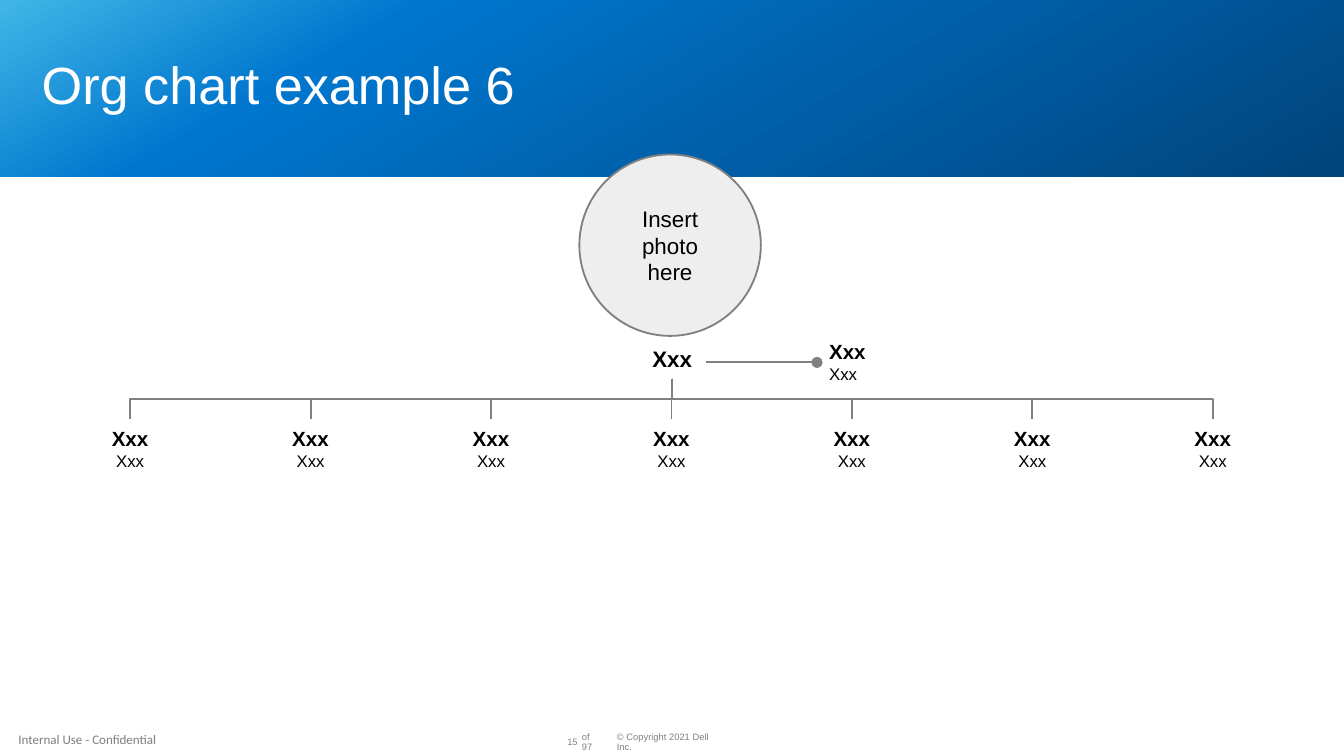
from copy import deepcopy
from dataclasses import dataclass

from pptx import Presentation
from pptx.dml.color import RGBColor
from pptx.enum.shapes import MSO_CONNECTOR, MSO_SHAPE
from pptx.enum.text import MSO_ANCHOR, PP_ALIGN
from pptx.oxml.ns import qn
from pptx.shapes.autoshape import Shape
from pptx.shapes.connector import Connector
from pptx.slide import Slide
from pptx.util import Cm, Pt
from lxml.etree import SubElement

GREY = "808080"
BLACK = "000000"
HEADER_STOPS = [(0, "41B6E6"), (0.26, "0076CE"), (1, "00447C")]

MEMBER_COUNT = 7
FIRST_MEMBER_CENTER = 2.46
MEMBER_PITCH = 3.41
MEMBER_WIDTH = 3.35
MEMBER_TOP = 7.92
TRUNK_X = 12.7
TRUNK_TOP = 7.16


@dataclass
class Span:
    text: str
    size: float
    color: str = BLACK
    bold: bool = False
    font: str = "Arial"


@dataclass
class Label:
    left: float
    top: float
    width: float
    height: float
    spans: list[Span]
    align: PP_ALIGN = PP_ALIGN.LEFT
    anchor: MSO_ANCHOR = MSO_ANCHOR.MIDDLE
    insets: tuple[float, float, float, float] = (0, 0, 0, 0)
    wrap: bool = True
    spacing: float = 1.0


PERSON = [Span("Xxx", 11, bold=True), Span("Xxx", 9)]

FOOTERS = [
    Label(11.66, 13.94, 2.06, 0.2, [Span("© Copyright 2021 Dell Inc.", 5, GREY)], spacing=0.9),
    Label(10.72, 13.94, 0.2, 0.2, [Span("15", 5, GREY)], PP_ALIGN.RIGHT, wrap=False, spacing=0.9),
    Label(11, 13.94, 0.38, 0.2, [Span("of 97", 5, GREY)], spacing=0.9),
    Label(0, 13.69, 3.3, 0.58, [Span("Internal Use - Confidential", 7, "7F7F7F", font="Calibri")],
          PP_ALIGN.CENTER),
]
TITLE = Label(0.79, 1.12, 23.82, 1.07, [Span("Org chart example 6", 28, "FFFFFF")], spacing=0.9)
LEADER = Label(12.07, 6.53, 1.27, 0.64, [Span("Xxx", 12, bold=True)], PP_ALIGN.CENTER,
               MSO_ANCHOR.TOP, (0.25, 0, 0.25, 0.13), wrap=False)
ASSISTANT = Label(15.67, 6.4, 0.71, 0.86, PERSON, wrap=False)


def color(value: str) -> RGBColor:
    return RGBColor.from_string(value)


def write(box: Shape, spans: list[Span], align: PP_ALIGN, spacing: float = 1.0) -> None:
    frame = box.text_frame
    frame.text = "\n".join(span.text for span in spans)
    for para, span in zip(frame.paragraphs, spans):
        para.alignment = align
        para.line_spacing = spacing
        font = para.runs[0].font
        font.name = span.font
        font.size = Pt(span.size)
        font.bold = span.bold
        font.color.rgb = color(span.color)


def draw_label(page: Slide, label: Label) -> Shape:
    box = page.shapes.add_textbox(Cm(label.left), Cm(label.top), Cm(label.width), Cm(label.height))
    write(box, label.spans, label.align, label.spacing)
    frame = box.text_frame
    frame.word_wrap = label.wrap
    frame.vertical_anchor = label.anchor
    frame.margin_left, frame.margin_top, frame.margin_right, frame.margin_bottom = map(Cm, label.insets)
    return box


def draw_header(page: Slide) -> None:
    header = page.shapes.add_shape(MSO_SHAPE.RECTANGLE, 0, 0, Cm(25.4), Cm(3.33))
    header.shadow.inherit = False
    header.line.fill.background()
    header.fill.gradient()
    header.fill.gradient_angle = 300
    stop_list = header._element.spPr.find(".//" + qn("a:gsLst"))
    stop_list.append(deepcopy(stop_list[-1]))
    for stop, (position, value) in zip(header.fill.gradient_stops, HEADER_STOPS):
        stop.position = position
        stop.color.rgb = color(value)


def draw_photo_circle(page: Slide) -> None:
    circle = page.shapes.add_shape(MSO_SHAPE.OVAL, Cm(10.95), Cm(2.92), Cm(3.43), Cm(3.43))
    circle.shadow.inherit = False
    circle.fill.solid()
    circle.fill.fore_color.rgb = color("EEEEEE")
    circle.line.color.rgb = color(GREY)
    circle.line.width = Pt(1)
    circle.text_frame.word_wrap = True
    circle.text_frame.vertical_anchor = MSO_ANCHOR.MIDDLE
    write(circle, [Span("Insert photo here", 12)], PP_ALIGN.CENTER)


def draw_connector(page: Slide, kind: MSO_CONNECTOR, start_x: float, start_y: float,
                   end_x: float, end_y: float) -> Connector:
    connector = page.shapes.add_connector(kind, Cm(start_x), Cm(start_y), Cm(end_x), Cm(end_y))
    connector.line.color.rgb = color(GREY)
    connector.line.width = Pt(1)
    SubElement(connector._element.spPr, qn("a:effectLst"))
    return connector


def draw_branch(page: Slide, member_x: float) -> None:
    middle_x = (TRUNK_X + member_x) / 2
    middle_y = (TRUNK_TOP + MEMBER_TOP) / 2
    half_span = abs(TRUNK_X - member_x) / 2
    half_drop = (MEMBER_TOP - TRUNK_TOP) / 2
    side, degrees = (1, 90) if member_x < TRUNK_X else (-1, 270)
    branch = draw_connector(page, MSO_CONNECTOR.ELBOW,
                            middle_x - side * half_drop, middle_y - half_span,
                            middle_x + side * half_drop, middle_y + half_span)
    branch._element.spPr.find(qn("a:xfrm")).set("rot", str(degrees * 60000))


def draw_member(page: Slide, center: float) -> None:
    draw_branch(page, center)
    draw_label(page, Label(center - MEMBER_WIDTH / 2, MEMBER_TOP, MEMBER_WIDTH, 0.99, PERSON,
                           PP_ALIGN.CENTER, MSO_ANCHOR.TOP, (0, 0.13, 0, 0)))


def draw_leadership(page: Slide) -> None:
    draw_photo_circle(page)
    leader = draw_label(page, LEADER)
    link = draw_connector(page, MSO_CONNECTOR.STRAIGHT, 13.34, 6.85, 15.44, 6.85)
    link.begin_connect(leader, 3)
    SubElement(link.line._get_or_add_ln(), qn("a:tailEnd"), type="oval")
    draw_label(page, ASSISTANT)


def main() -> None:
    deck = Presentation()
    deck.slide_width = Cm(25.4)
    deck.slide_height = Cm(14.29)
    page = deck.slides.add_slide(deck.slide_layouts[6])
    for footer in FOOTERS:
        draw_label(page, footer)
    draw_header(page)
    draw_label(page, TITLE)
    draw_leadership(page)
    for index in range(MEMBER_COUNT):
        draw_member(page, FIRST_MEMBER_CENTER + index * MEMBER_PITCH)
    deck.save("out.pptx")


if __name__ == "__main__":
    main()
